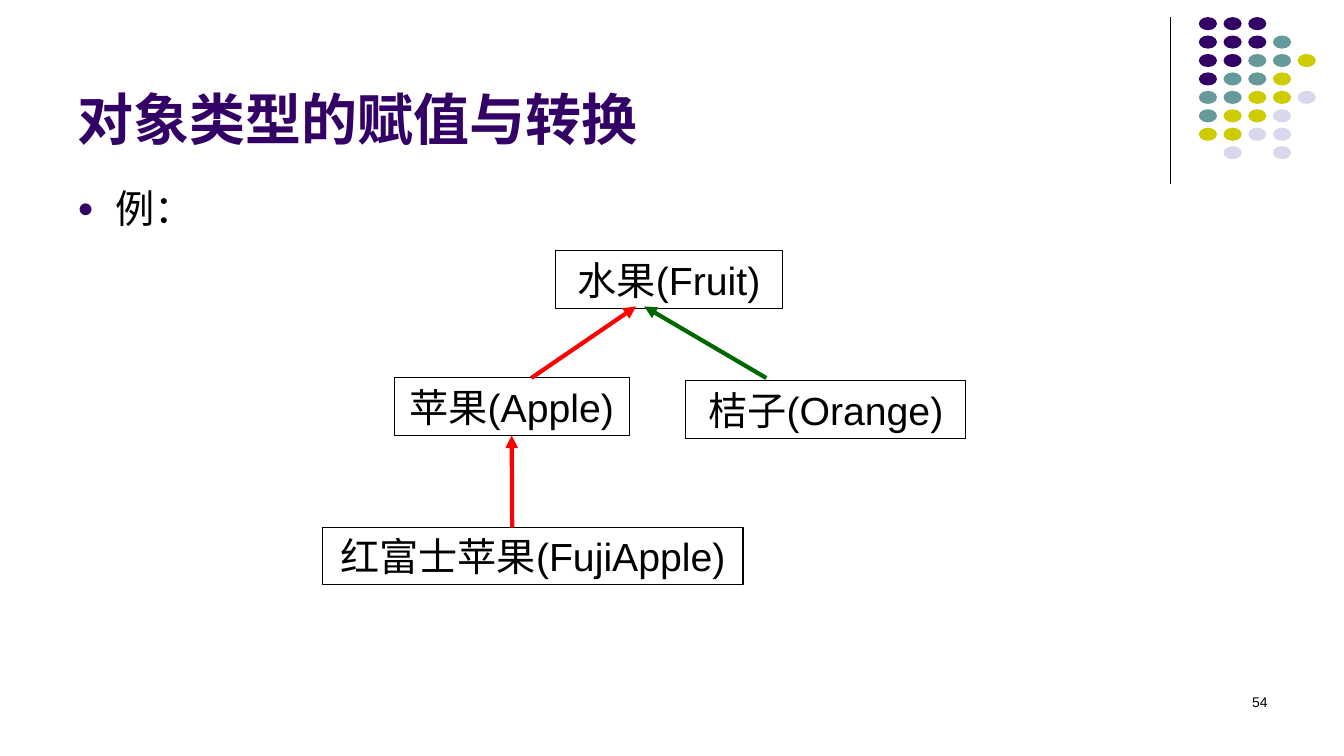
import pptx
import pptx.dml.color
import pptx.enum.shapes
import pptx.enum.text
import pptx.oxml
import pptx.oxml.ns
import pptx.util
from pptx.util import Inches

PURPLE, TEAL, OLIVE, LAVENDER = "330066", "669999", "CCCC00", "D8D8EC"
BLACK, RED, GREEN = "000000", "FF0000", "006600"
ALIGN = pptx.enum.text.PP_ALIGN
ANCHOR = pptx.enum.text.MSO_ANCHOR
SHAPES = pptx.enum.shapes.MSO_SHAPE


def color(value):
    return pptx.dml.color.RGBColor.from_string(value)


def add_xml(parent, tag, **attributes):
    element = pptx.oxml.parse_xml(f"<a:{tag} {pptx.oxml.ns.nsdecls('a')}/>")
    for name, value in attributes.items():
        element.set(name, value)
    parent.append(element)
    return element


class SlideBuilder:
    latin_font = "Arial"
    chinese_font = "Noto Sans CJK SC"

    def __init__(self, presentation):
        self.slide = presentation.slides.add_slide(presentation.slide_layouts[6])

    def fill_text(self, shape, text, size, text_color=BLACK, bold=False,
                  align=ALIGN.LEFT, anchor=ANCHOR.TOP, wrap=True, font=latin_font):
        frame = shape.text_frame
        frame.word_wrap = wrap
        frame.vertical_anchor = anchor
        paragraph = frame.paragraphs[0]
        paragraph.alignment = align
        run = paragraph.add_run()
        run.text = text
        run.font.name = font
        run.font.size = pptx.util.Pt(size)
        run.font.bold = bold
        run.font.color.rgb = color(text_color)
        add_xml(run._r.get_or_add_rPr(), "ea", typeface=self.chinese_font)
        return paragraph

    def text(self, left, top, width, height, text, size, **style):
        box = self.slide.shapes.add_textbox(
            Inches(left), Inches(top), Inches(width), Inches(height))
        return self.fill_text(box, text, size, **style)

    def bullet(self, paragraph, indent):
        properties = paragraph._p.get_or_add_pPr()
        properties.set("marL", str(Inches(indent)))
        properties.set("indent", str(-Inches(indent)))
        add_xml(add_xml(properties, "buClr"), "srgbClr", val=PURPLE)
        add_xml(properties, "buSzPct", val="70000")
        add_xml(properties, "buFont", typeface=self.latin_font)
        add_xml(properties, "buChar", char="●")

    def shape(self, kind, left, top, width, height):
        shape = self.slide.shapes.add_shape(
            kind, Inches(left), Inches(top), Inches(width), Inches(height))
        shape.shadow.inherit = False
        return shape

    def dot(self, left, top, fill):
        dot = self.shape(SHAPES.OVAL, left, top, 0.18, 0.13)
        dot.fill.solid()
        dot.fill.fore_color.rgb = color(fill)
        dot.line.fill.background()

    def class_box(self, left, top, width, label):
        box = self.shape(SHAPES.RECTANGLE, left, top, width, 0.57)
        box.fill.background()
        box.line.color.rgb = color(BLACK)
        box.line.width = pptx.util.Pt(0.75)
        self.fill_text(box, label, 28, align=ALIGN.CENTER,
                       anchor=ANCHOR.MIDDLE, wrap=False)
        return box

    def line(self, start, end, line_color, width):
        line = self.slide.shapes.add_connector(
            pptx.enum.shapes.MSO_CONNECTOR.STRAIGHT,
            *(Inches(value) for value in (*start, *end)))
        line.line.color.rgb = color(line_color)
        line.line.width = pptx.util.Pt(width)
        add_xml(line._element.spPr, "effectLst")
        return line

    def arrow(self, start, end, line_color):
        arrow = self.line(start, end, line_color, 3)
        add_xml(arrow.get_or_add_ln(), "tailEnd", type="triangle")
        return arrow


def main():
    presentation = pptx.Presentation()
    presentation.slide_width = Inches(13.33)
    presentation.slide_height = Inches(7.5)
    builder = SlideBuilder(presentation)

    builder.line((11.61, 0.17), (11.61, 1.83), BLACK, 0.75)
    dot_colors = {"P": PURPLE, "T": TEAL, "O": OLIVE, "L": LAVENDER}
    dot_rows = ["PPP", "PPPT", "PPTTO", "PTTO", "TTOOL", "TOOL", "OOLL", " L L"]
    for row, letters in enumerate(dot_rows):
        for column, letter in enumerate(letters):
            if letter in dot_colors:
                builder.dot(11.89 + column * 0.98 / 4, 0.17 + row * 1.28 / 7,
                            dot_colors[letter])

    builder.text(9.56, 6.83, 3.11, 0.5, "54", 10, align=ALIGN.RIGHT)
    builder.text(0.67, 0.13, 11, 1.42, "对象类型的赋值与转换", 40,
                 text_color=PURPLE, bold=True, anchor=ANCHOR.BOTTOM,
                 font=builder.chinese_font)
    example = builder.text(0.67, 1.78, 12, 4.92, "例：", 28)
    builder.bullet(example, 0.38)

    builder.class_box(5.51, 2.49, 2.25, "水果(Fruit)")
    apple = builder.class_box(3.91, 3.75, 2.33, "苹果(Apple)")
    builder.class_box(6.8, 3.78, 2.78, "桔子(Orange)")
    builder.class_box(3.2, 5.23, 4.17, "红富士苹果(FujiApple)")

    builder.arrow((5.27, 3.75), (6.31, 3.04), RED)
    builder.arrow((7.6, 3.75), (6.39, 3.04), GREEN)
    fuji_to_apple = builder.arrow((5.08, 5.23), (5.08, 4.32), RED)
    fuji_to_apple.end_connect(apple, 2)

    presentation.save("out.pptx")


if __name__ == "__main__":
    main()
